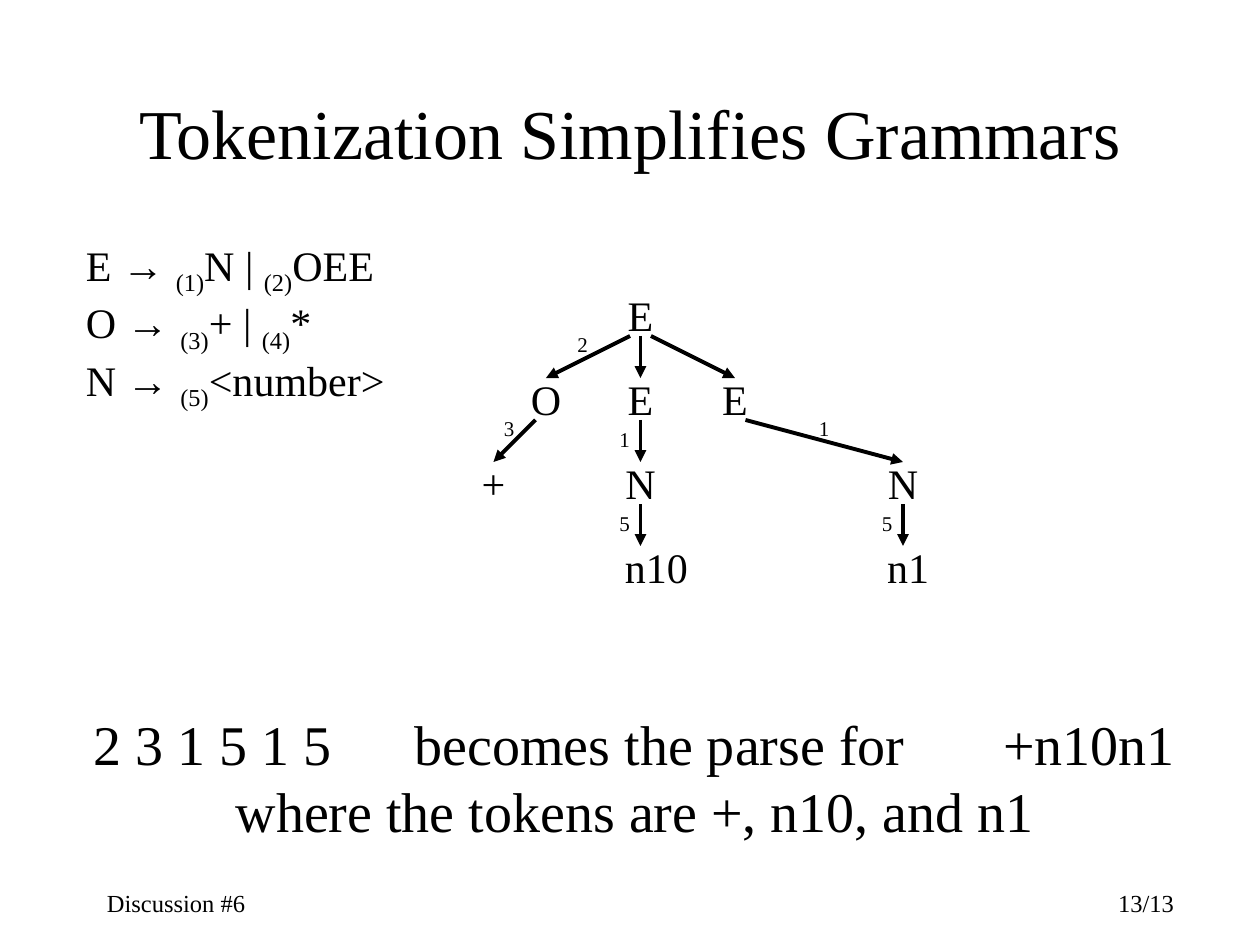
from math import floor

from lxml.etree import SubElement
from pptx import Presentation
from pptx.dml.color import RGBColor
from pptx.enum.shapes import MSO_CONNECTOR
from pptx.enum.text import MSO_ANCHOR, MSO_AUTO_SIZE, PP_ALIGN
from pptx.oxml.ns import qn
from pptx.util import Inches, Pt

COLORS = {"ink": "000000"}
SERIF, SANS = "Times New Roman", "Arial"
CELL = Inches(1) / 12  # the slide is a grid of 120 columns by 90 rows

# Parse tree: key -> (text, column, row, width in columns)
NODES = {
    "root": ("E", 58, 27, 6),
    "operator": ("O", 49, 35, 6),
    "first": ("E", 58, 35, 6),
    "second": ("E", 67, 35, 6),
    "plus": ("+", 44, 43, 6),
    "first number": ("N", 58, 43, 6),
    "second number": ("N", 83, 43, 6),
    "n10": ("n10", 58, 51, 9),
    "n1": ("n1", 83, 51, 7),
}
# Parent, child, number of the grammar rule (if labelled)
EDGES = [
    ("root", "operator", "2"),
    ("root", "first", None),
    ("root", "second", None),
    ("operator", "plus", "3"),
    ("first", "first number", "1"),
    ("second", "second number", "1"),
    ("first number", "n10", "5"),
    ("second number", "n1", "5"),
]
# Left side, then (rule number, right side) alternatives
GRAMMAR = [
    ("E ", [("(1)", "N | "), ("(2)", "OEE")]),
    ("O ", [("(3)", "+ | "), ("(4)", "*")]),
    ("N ", [("(5)", "<number>")]),
]


def grid(cells):
    return round(cells * CELL)


def add_box(slide, column, row, columns, rows, anchor=MSO_ANCHOR.TOP, grow=False):
    shape = slide.shapes.add_textbox(*map(grid, (column, row, columns, rows)))
    frame = shape.text_frame
    frame.word_wrap = True
    frame.vertical_anchor = anchor
    frame.auto_size = MSO_AUTO_SIZE.SHAPE_TO_FIT_TEXT if grow else MSO_AUTO_SIZE.NONE
    return frame


def add_run(paragraph, text, size, font=SERIF, baseline=0):
    run = paragraph.add_run()
    run.text = text
    run.font.size = Pt(size)
    run.font.name = font
    run.font.color.rgb = RGBColor.from_string(COLORS["ink"])
    if baseline:
        run.font._element.set("baseline", str(baseline * 1000))


def add_text(slide, text, size, area, align=PP_ALIGN.LEFT, before=0, **box_options):
    paragraph = add_box(slide, *area, **box_options).paragraphs[0]
    paragraph.alignment = align
    paragraph.space_before = Pt(before)
    add_run(paragraph, text, size)


def add_arrow(slide, start, end):
    connector = slide.shapes.add_connector(
        MSO_CONNECTOR.STRAIGHT, *map(grid, (*start, *end)))
    connector.line.width = Pt(2.25)
    connector.line.color.rgb = RGBColor.from_string(COLORS["ink"])
    SubElement(connector.line._get_or_add_ln(), qn("a:tailEnd"), type="triangle")
    SubElement(connector._element.spPr, qn("a:effectLst"))


def add_grammar(slide):
    frame = add_box(slide, 7, 20, 38, 22, anchor=MSO_ANCHOR.MIDDLE)
    paragraph = frame.paragraphs[0]
    for index, (left_side, alternatives) in enumerate(GRAMMAR):
        if index:
            paragraph.add_line_break()
        add_run(paragraph, left_side, 24)
        add_run(paragraph, "→ ", 24, font=SANS)
        for number, right_side in alternatives:
            add_run(paragraph, number, 24, baseline=-25)
            add_run(paragraph, right_side, 24)


def add_tree(slide):
    for text, column, row, width in NODES.values():
        add_text(slide, text, 24, (column, row, width, 6),
                 PP_ALIGN.CENTER, before=15, grow=True)
    for parent, child, label in EDGES:
        _, parent_column, parent_row, _ = NODES[parent]
        _, child_column, child_row, _ = NODES[child]
        # Slanted arrows leave one column towards the child
        lean = (child_column > parent_column) - (child_column < parent_column)
        start = (parent_column + 3 + lean, parent_row + 5)
        end = (child_column + 3, child_row + 1)
        add_arrow(slide, start, end)
        if label:
            if lean:
                place = (floor((start[0] + end[0]) / 2 - 2.5), start[1] - 1)
            else:
                place = (start[0] - 4, start[1])
            add_text(slide, label, 12, (*place, 5, 3.6),
                     PP_ALIGN.CENTER, before=7.5, grow=True)


def add_conclusion(slide):
    frame = add_box(slide, 1, 67, 119, 14, grow=True)
    # First line: three parts set at tab stops
    parts = frame.paragraphs[0]
    stops = SubElement(parts._element.get_or_add_pPr(), qn("a:tabLst"))
    for inches in (0.56, 3.11, 7.78):
        SubElement(stops, qn("a:tab"), pos=str(Inches(inches)), algn="l")
    for text in ("2 3 1 5 1 5", "becomes the parse for", "+n10n1"):
        add_run(parts, "\t" + text, 32)
    # Second line: centred
    tokens = frame.add_paragraph()
    tokens.alignment = PP_ALIGN.CENTER
    add_run(tokens, "where the tokens are +, n10, and n1", 32)


def main():
    presentation = Presentation()
    presentation.slide_width = grid(120)
    presentation.slide_height = grid(90)
    slide = presentation.slides.add_slide(presentation.slide_layouts[6])

    # Title
    add_text(slide, "Tokenization Simplifies Grammars", 40, (9, 5, 102, 15),
             PP_ALIGN.CENTER, anchor=MSO_ANCHOR.MIDDLE)
    # Body
    add_grammar(slide)
    add_tree(slide)
    add_conclusion(slide)
    # Footer
    add_text(slide, "Discussion #6", 14, (9, 84, 25, 4))
    add_text(slide, "13/13", 14, (88, 84, 25, 4), PP_ALIGN.RIGHT)

    presentation.save("out.pptx")


if __name__ == "__main__":
    main()
